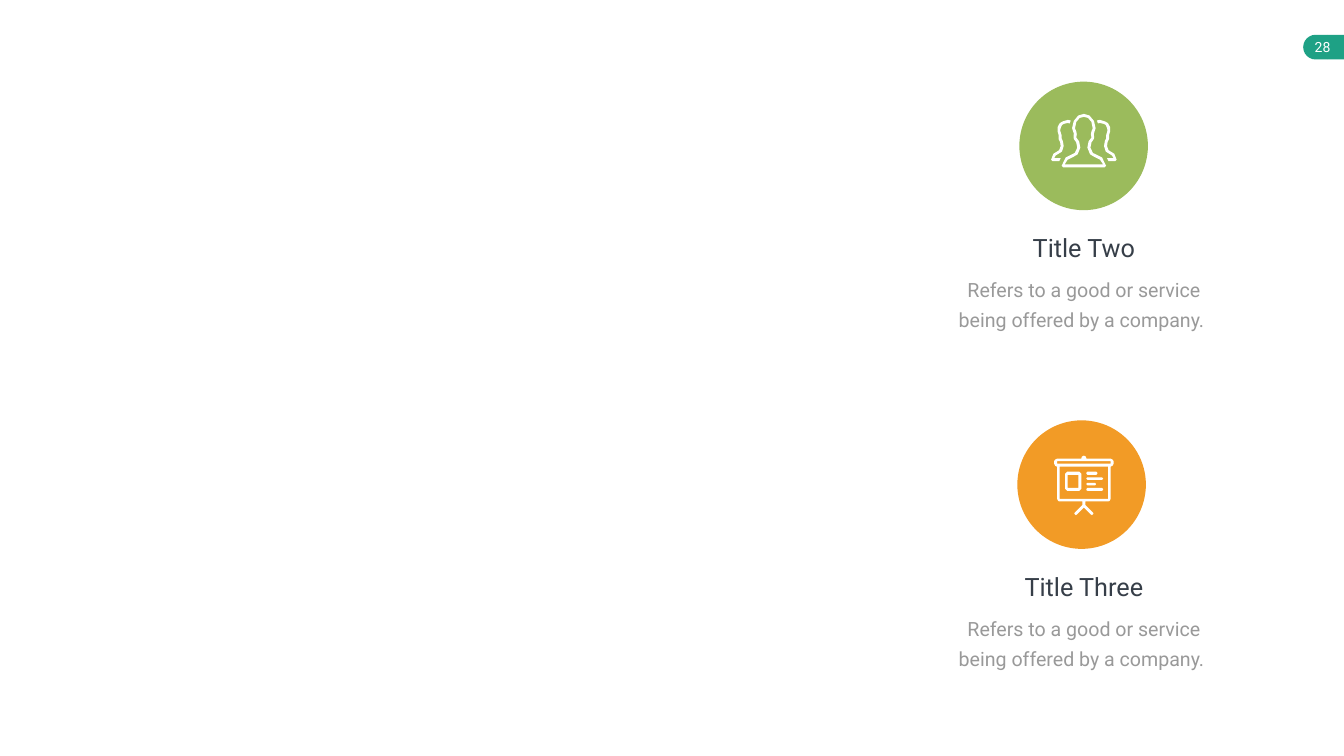
import math

from pptx import Presentation
from pptx import util as u
from pptx.dml.color import RGBColor
from pptx.enum import shapes, text

THEME = {
    "font": "Roboto",
    "white": "FFFFFF", "tag": "1EA185", "title": "363E48", "body": "999999",
    "tag_size": 20, "title_size": 36, "body_size": 28, "body_leading": 43,
}
PAGE_NUMBER = "28"
BODY = "Refers to a good or service being offered by a company. "
CARDS = [
    {"title": "Title Two", "icon": "people", "colour": "9BBB5C", "circle_left": 20.22, "icon_drop": 0.64},
    {"title": "Title Three", "icon": "board", "colour": "F29B26", "circle_left": 20.18, "icon_drop": 0.70},
]
CARD_TOP, CARD_PITCH, AXIS, CIRCLE = 1.62, 6.72, 21.5, 2.55

# Icon outlines, in hundredths of an inch from the top centre of the icon.
# First the start point, then lines (x, y) or cubic curves (x1, y1, x2, y2, x, y).
BUST_OUTER = [
    (0, 0), (7, 0, 16, 4, 20, 14), (25, 25, 24, 33, 20, 39),
    (22, 48, 19, 51, 19, 51), (17, 54, 13, 57, 13, 67), (13, 78, 23, 80, 23, 80),
    (30, 83, 44, 87, 44, 103), (41, 106),
]
BUST_INNER = [
    (0, 6), (6, 6, 11, 8, 15, 16), (20, 27, 17, 33, 15, 35), (14, 40), (15, 47),
    (11, 51, 7, 56, 7, 67), (7, 79, 16, 84, 22, 86), (29, 89, 37, 92, 38, 100),
]
SIDE_PERSON = [
    (52, 74), (52, 74, 46, 72, 46, 64), (46, 56, 48, 54, 49, 52), (49, 52, 52, 49, 50, 42),
    (51, 38, 54, 32, 52, 26), (49, 18, 47, 17, 42, 15), (32, 12), (26, 13), (28, 19), (32, 18),
    (40, 20), (43, 21, 44, 22, 46, 28), (47, 33), (44, 43), (44, 49),
    (43, 51, 40, 55, 40, 64), (40, 74, 46, 78, 50, 79), (54, 81, 58, 83, 59, 88),
    (46, 88), (49, 94), (62, 94), (65, 91), (65, 80, 57, 76, 52, 74),
]
BOARD_OUTER = [
    (0, 0), (4, 2), (5, 6), (53, 6), (57, 8), (59, 11), (59, 16), (57, 20), (53, 22),
    (53, 86), (51, 90), (48, 91), (3, 91), (3, 98), (18, 113), (19, 115), (16, 118),
    (14, 117), (0, 103),
]
BOARD_BOXES = [  # left, top, right, bottom, size of the cut corners
    (-53, 11, 53, 16, 0), (-48, 22, 48, 86, 0), (-37, 32, -5, 70, 4), (-32, 38, -11, 64, 0),
    (5, 32, 27, 38, 2), (5, 43, 38, 48, 2), (5, 54, 24, 59, 2), (5, 64, 38, 70, 2),
]


def flatten(outline):
    """Turn lines and cubic curves into points; each curve gets one point at its middle."""
    points = [outline[0]]
    for part in outline[1:]:
        start, end = points[-1], part[-2:]
        if len(part) == 6 and math.dist(start, end) > 6:
            points.append(tuple((start[i] + 3 * part[i] + 3 * part[i + 2] + end[i]) / 8 for i in (0, 1)))
        points.append(end)
    return points


def mirror(points):
    return [(-x, y) for x, y in reversed(points)]


def symmetric(half_outline):
    points = flatten(half_outline)
    return points + mirror(points)


def cut_box(left, top, right, bottom, cut):
    if not cut:
        return [(left, top), (right, top), (right, bottom), (left, bottom)]
    return [
        (left + cut, top), (right - cut, top), (right, top + cut), (right, bottom - cut),
        (right - cut, bottom), (left + cut, bottom), (left, bottom - cut), (left, top + cut),
    ]


SIDE_POINTS = flatten(SIDE_PERSON)
ICONS = {
    "people": [symmetric(BUST_OUTER), symmetric(BUST_INNER), SIDE_POINTS, mirror(SIDE_POINTS)],
    "board": [symmetric(BOARD_OUTER)] + [cut_box(*box) for box in BOARD_BOXES],
}


def paint(shape, colour):
    shape.shadow.inherit = False
    shape.fill.solid()
    shape.fill.fore_color.rgb = RGBColor.from_string(THEME.get(colour, colour))
    shape.line.fill.background()


def add_solid(group, kind, left, top, width, height, colour):
    shape = group.shapes.add_shape(kind, *map(u.Inches, (left, top, width, height)))
    paint(shape, colour)
    return shape


def add_icon(group, contours, top):
    """Draw all contours as one outline, so inner ones become holes."""
    placed = [[(u.Inches(AXIS + x / 100), u.Inches(top + y / 100)) for x, y in points] for points in contours]
    builder = group.shapes.build_freeform(*placed[0][0], scale=1.0)
    for index, points in enumerate(placed):
        if index:
            builder.move_to(*points[0])
        builder.add_line_segments(points[1:], close=True)
    paint(builder.convert_to_shape(), "white")


def add_text(group, words, role, left, top, width, height, inset, wrap=True):
    box = group.shapes.add_textbox(*map(u.Inches, (left, top, width, height)))
    frame = box.text_frame
    frame.text = words
    frame.word_wrap = wrap
    frame.auto_size = text.MSO_AUTO_SIZE.SHAPE_TO_FIT_TEXT
    frame.margin_left = frame.margin_right = u.Inches(inset)
    frame.margin_top = frame.margin_bottom = u.Inches(inset / 2)
    para = frame.paragraphs[0]
    para.alignment = text.PP_ALIGN.CENTER
    if f"{role}_leading" in THEME:
        para.line_spacing = u.Pt(THEME[f"{role}_leading"])
    span = para.runs[0]
    span.font.name = THEME["font"]
    span.font.size = u.Pt(THEME[f"{role}_size"])
    span.font.color.rgb = RGBColor.from_string(THEME["white" if role == "tag" else role])


def add_page_tag(page):
    group = page.shapes.add_group_shape()
    cap = add_solid(group, shapes.MSO_SHAPE.FLOWCHART_DELAY, 25.85, 0.69, 0.49, 0.49, "tag")
    cap.rotation = 180
    add_solid(group, shapes.MSO_SHAPE.RECTANGLE, 26.34, 0.69, 0.32, 0.49, "tag")
    add_text(page, PAGE_NUMBER, "tag", 25.78, 0.67, 0.91, 0.54, 0.2, wrap=False)


def add_card(page, card, top):
    group = page.shapes.add_group_shape()
    add_solid(group, shapes.MSO_SHAPE.OVAL, card["circle_left"], top, CIRCLE, CIRCLE, card["colour"])
    add_icon(group, ICONS[card["icon"]], top + card["icon_drop"])
    add_text(group, BODY, "body", AXIS - 2.75, top + 3.65, 5.5, 1.39, 0.24)
    add_text(group, card["title"], "title", AXIS - 2.51, top + 2.94, 5.02, 0.71, 0.1)


def main():
    deck = Presentation()
    deck.slide_width, deck.slide_height = u.Inches(26.66), u.Inches(15)
    page = deck.slides.add_slide(deck.slide_layouts[6])
    page.background.fill.solid()
    page.background.fill.fore_color.rgb = RGBColor.from_string(THEME["white"])
    add_page_tag(page)
    for row, card in enumerate(CARDS):
        add_card(page, card, CARD_TOP + row * CARD_PITCH)
    deck.save("out.pptx")


if __name__ == "__main__":
    main()
